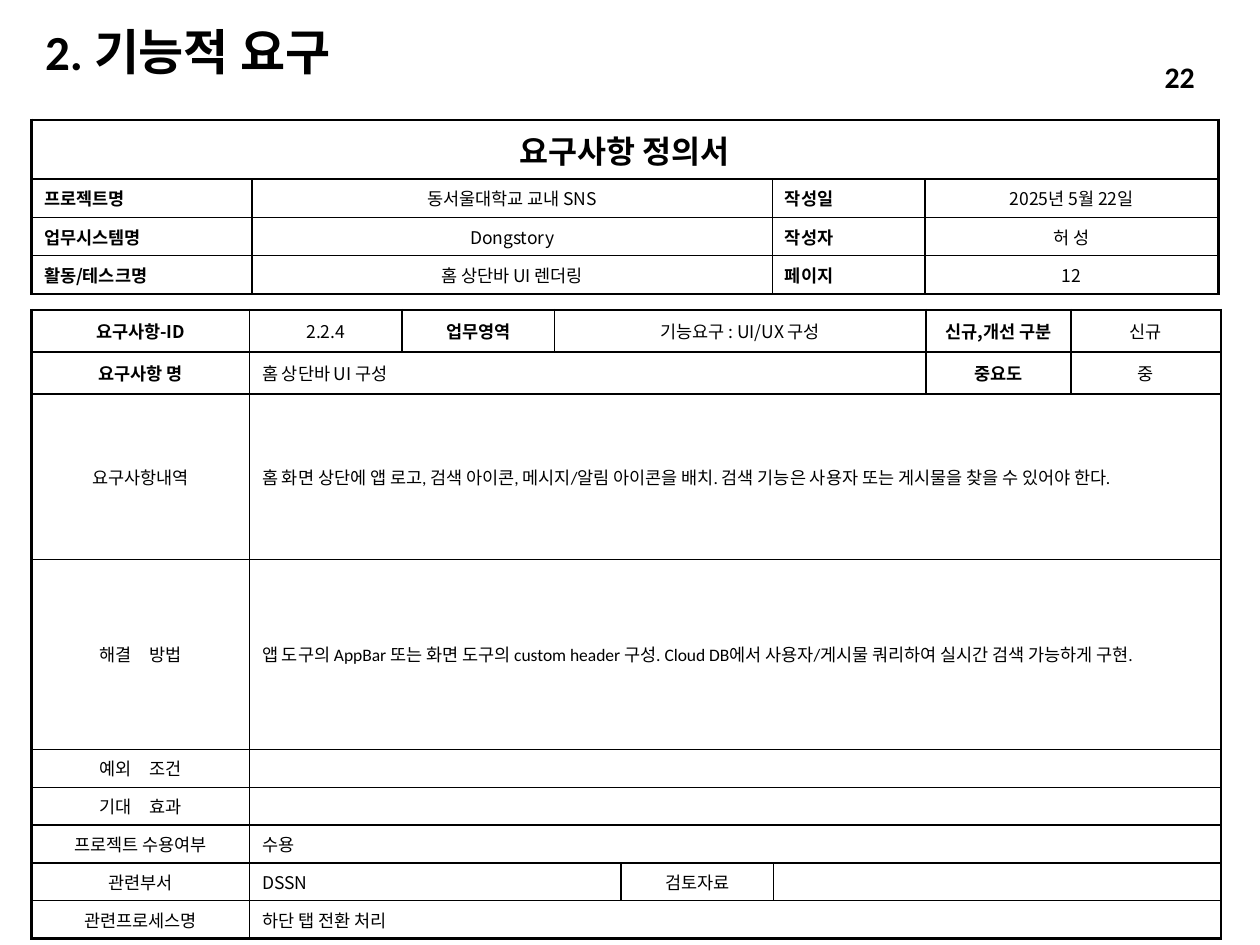
from lxml.etree import SubElement
from pptx import Presentation
from pptx.dml.color import RGBColor
from pptx.enum.text import MSO_ANCHOR, PP_ALIGN
from pptx.oxml.ns import qn
from pptx.util import Inches, Pt

COLORS = {"ink": "000000", "paper": "FFFFFF"}
LATIN = "Calibri"
KOREAN = "Noto Sans CJK KR"
CENTER, LEFT, RIGHT, JUSTIFY = PP_ALIGN.CENTER, PP_ALIGN.LEFT, PP_ALIGN.RIGHT, PP_ALIGN.JUSTIFY
THIN, THICK = 1, 1.5


def write_text(frame, text, size=10, font=KOREAN, bold=False, align=CENTER, line_spacing=None):
    frame.word_wrap = True
    paragraph = frame.paragraphs[0]
    paragraph.alignment = align
    if line_spacing:
        paragraph.line_spacing = line_spacing
    if not text:
        paragraph._p.get_or_add_endParaRPr().set("sz", str(size * 100))
        return
    run = paragraph.add_run()
    run.text = text
    run.font.size = Pt(size)
    run.font.bold = bold
    run.font.name = font
    run.font.color.rgb = RGBColor.from_string(COLORS["ink"])
    SubElement(run._r.get_or_add_rPr(), qn("a:ea")).set("typeface", KOREAN)


class FormSlide:
    columns, rows = 100, 75

    def __init__(self, presentation):
        self.column = presentation.slide_width / self.columns
        self.row = presentation.slide_height / self.rows
        self.slide = presentation.slides.add_slide(presentation.slide_layouts[6])
        self.slide.background.fill.solid()
        self.slide.background.fill.fore_color.rgb = RGBColor.from_string(COLORS["paper"])

    def place(self, left, top, width, height):
        return [round(value) for value in (left * self.column, top * self.row,
                                           width * self.column, height * self.row)]

    def label(self, text, area, **text_format):
        frame = self.slide.shapes.add_textbox(*self.place(*area)).text_frame
        frame.vertical_anchor = MSO_ANCHOR.MIDDLE
        write_text(frame, text, font=LATIN, bold=True, **text_format)

    def border(self, cell, side, width):
        line = SubElement(cell._tc.get_or_add_tcPr(), qn(f"a:ln{side}"), w=str(Pt(width)))
        fill = SubElement(line, qn("a:solidFill"))
        SubElement(fill, qn("a:srgbClr")).set("val", COLORS["ink"])

    def form(self, left, top, widths, heights, content, thick_lines):
        area = self.place(left, top, sum(widths), sum(heights))
        table = self.slide.shapes.add_table(len(heights), len(widths), *area).table
        table.first_row = table.horz_banding = False
        for column, width in zip(table.columns, widths):
            column.width = round(width * self.column)
        for row, height in zip(table.rows, heights):
            row.height = round(height * self.row)
        for row_index, entries in enumerate(content):
            start = 0
            for text, span, text_format in entries:
                end = start + span
                for column_index in range(start, end):
                    cell = table.cell(row_index, column_index)
                    cell.vertical_anchor = MSO_ANCHOR.MIDDLE
                    cell.margin_left = cell.margin_right = Inches(0.1)
                    cell.margin_top = cell.margin_bottom = Inches(0.05)
                    self.border(cell, "L", THIN if start else THICK)
                    self.border(cell, "R", THICK if end == len(widths) else THIN)
                    self.border(cell, "T", THICK if row_index in thick_lines else THIN)
                    self.border(cell, "B", THICK if row_index + 1 in thick_lines else THIN)
                    cell.fill.background()
                    write_text(cell.text_frame, text if column_index == start else "", **text_format)
                if span > 1:
                    table.cell(row_index, start).merge(table.cell(row_index, end - 1))
                start = end


def entry(text, span=1, **text_format):
    return text, span, text_format


def detail(name, text, **text_format):
    return [entry(name), entry(text, 7, align=LEFT, **text_format)]


def summary(name, value, second_name, second_value):
    return [entry(name, bold=True, align=JUSTIFY), entry(value),
            entry(second_name, bold=True, align=JUSTIFY), entry(second_value)]


def main():
    presentation = Presentation()
    presentation.slide_width, presentation.slide_height = Inches(10), Inches(7.5)
    page = FormSlide(presentation)
    page.label("2. 기능적 요구", (2.6, 2.1, 53.6, 4.4), size=28, align=LEFT, line_spacing=0.9)

    requirement = [
        [entry("요구사항-ID", bold=True), entry("2.2.4"), entry("업무영역", bold=True),
         entry("기능요구 : UI/UX 구성", 3), entry("신규,개선 구분", bold=True), entry("신규")],
        [entry("요구사항 명", bold=True), entry("홈 상단바 UI 구성", 5, align=LEFT),
         entry("중요도", bold=True), entry("중")],
        detail("요구사항내역", "홈 화면 상단에 앱 로고, 검색 아이콘, 메시지/알림 아이콘을 배치. "
               "검색 기능은 사용자 또는 게시물을 찾을 수 있어야 한다.", font=LATIN),
        detail("해결　방법", "앱 도구의 AppBar 또는 화면 도구의 custom header 구성. "
               "Cloud DB에서 사용자/게시물 쿼리하여 실시간 검색 가능하게 구현.", font=LATIN),
        detail("예외　조건", ""),
        detail("기대　효과", ""),
        detail("프로젝트 수용여부", "수용"),
        [entry("관련부서"), entry("DSSN", 3, align=LEFT), entry("검토자료"), entry("", 3)],
        detail("관련프로세스명", "하단 탭 전환 처리"),
    ]
    page.form(2.5, 24.6, [17.3, 12.1, 12.1, 5.3, 12.1, 12.1, 11.5, 11.9],
              [3.35, 3.35, 13.1, 15.1] + [3] * 5, requirement, {0, 1, 2, 9})

    overview = [
        [entry("요구사항 정의서", 4, size=18, bold=True)],
        summary("프로젝트명", "동서울대학교 교내 SNS", "작성일", "2025년 5월 22일"),
        summary("업무시스템명", "Dongstory", "작성자", "허 성"),
        summary("활동/테스크명", "홈 상단바 UI 렌더링", "페이지", "12"),
    ]
    page.form(2.5, 9.5, [17.5, 41.3, 12.1, 23.3], [4.7] + [3.05] * 3, overview, {0, 4})
    page.label("22", (79.6, 4.1, 16.2, 4), size=17, align=RIGHT)
    presentation.save("out.pptx")


if __name__ == "__main__":
    main()
